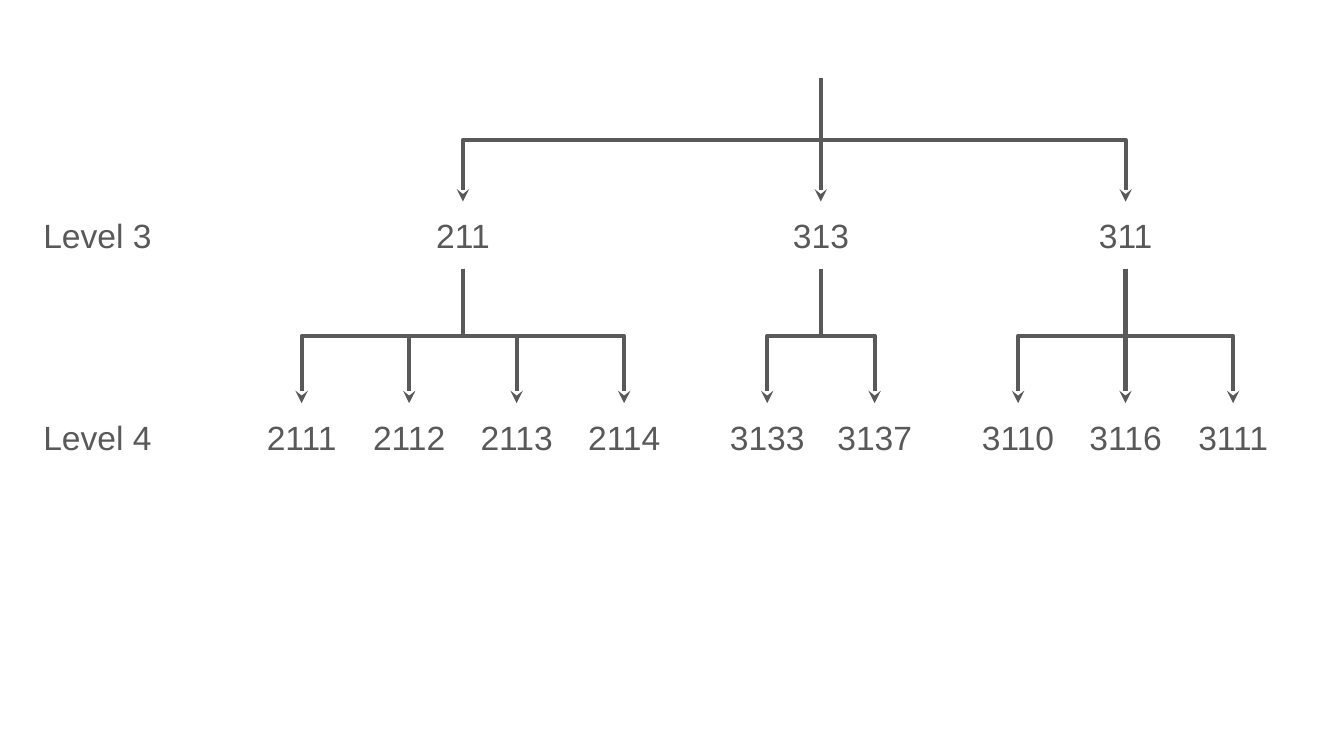
from lxml.etree import SubElement
from pptx import Presentation
from pptx.dml.color import RGBColor
from pptx.enum.shapes import MSO_CONNECTOR
from pptx.enum.text import MSO_AUTO_SIZE, PP_ALIGN
from pptx.oxml.ns import qn
from pptx.util import Pt

# Parent code, horizontal centre, child codes
BRANCHES = [
    ("211", 248, ["2111", "2112", "2113", "2114"]),
    ("313", 439.8, ["3133", "3137"]),
    ("311", 603, ["3110", "3116", "3111"]),
]
LEVELS = [("Level 3", 108), ("Level 4", 216)]
COLORS = {"ink": "595959"}

ROOT_X, ROOT_Y = 439.8, 42
PARENT_Y, CHILD_Y = (top for _, top in LEVELS)
CHILD_PITCH = 57.6
CODE_WIDTH, LEVEL_WIDTH, LABEL_HEIGHT = 59.5, 90, 36
LEVEL_X = 52.2
INSET = 7.2


def add_label(shapes, text, center, top, width):
    box = shapes.add_textbox(Pt(center - width / 2), Pt(top), Pt(width), Pt(LABEL_HEIGHT))
    frame = box.text_frame
    frame.word_wrap = True
    frame.auto_size = MSO_AUTO_SIZE.SHAPE_TO_FIT_TEXT
    frame.margin_left = frame.margin_right = Pt(INSET)
    frame.margin_top = frame.margin_bottom = Pt(INSET)
    paragraph = frame.paragraphs[0]
    paragraph.text = text
    paragraph.alignment = PP_ALIGN.CENTER
    paragraph.font.name = "Arial"
    paragraph.font.size = Pt(18)
    paragraph.font.color.rgb = RGBColor.from_string(COLORS["ink"])


def add_branch_arrow(shapes, x1, y1, x2, y2):
    """Elbow arrow that leaves and arrives vertically: a turned horizontal elbow."""
    drop, span = y2 - y1, abs(x2 - x1)
    left, top = (x1 + x2 - drop) / 2, (y1 + y2 - span) / 2
    begin_x, end_x, turn = left, left + drop, 90
    if x2 >= x1:
        begin_x, end_x, turn = end_x, begin_x, 270
    arrow = shapes.add_connector(
        MSO_CONNECTOR.ELBOW, Pt(begin_x), Pt(top), Pt(end_x), Pt(top + span))
    arrow.line.color.rgb = RGBColor.from_string(COLORS["ink"])
    arrow.line.width = Pt(2.25)
    properties = arrow._element.spPr
    properties.find(qn("a:xfrm")).set("rot", str(turn * 60000))
    SubElement(properties.find(qn("a:ln")), qn("a:tailEnd"), type="stealth")
    SubElement(properties, qn("a:effectLst"))


def add_branch(slide, parent, center, children):
    shapes = slide.shapes.add_group_shape().shapes
    add_label(shapes, parent, center, PARENT_Y, CODE_WIDTH)
    first = center - CHILD_PITCH * (len(children) - 1) / 2
    child_centers = [first + i * CHILD_PITCH for i in range(len(children))]
    for child, x in zip(children, child_centers):
        add_label(shapes, child, x, CHILD_Y, CODE_WIDTH)
    for x in child_centers:
        add_branch_arrow(shapes, center, PARENT_Y + LABEL_HEIGHT, x, CHILD_Y)


def main():
    presentation = Presentation()
    presentation.slide_width, presentation.slide_height = Pt(720), Pt(405)
    slide = presentation.slides.add_slide(presentation.slide_layouts[6])
    for parent, center, children in BRANCHES:
        add_branch(slide, parent, center, children)
    for _, center, _ in BRANCHES:
        add_branch_arrow(slide.shapes, ROOT_X, ROOT_Y, center, PARENT_Y)
    for name, top in LEVELS:
        add_label(slide.shapes, name, LEVEL_X, top, LEVEL_WIDTH)
    presentation.save("out.pptx")


if __name__ == "__main__":
    main()
